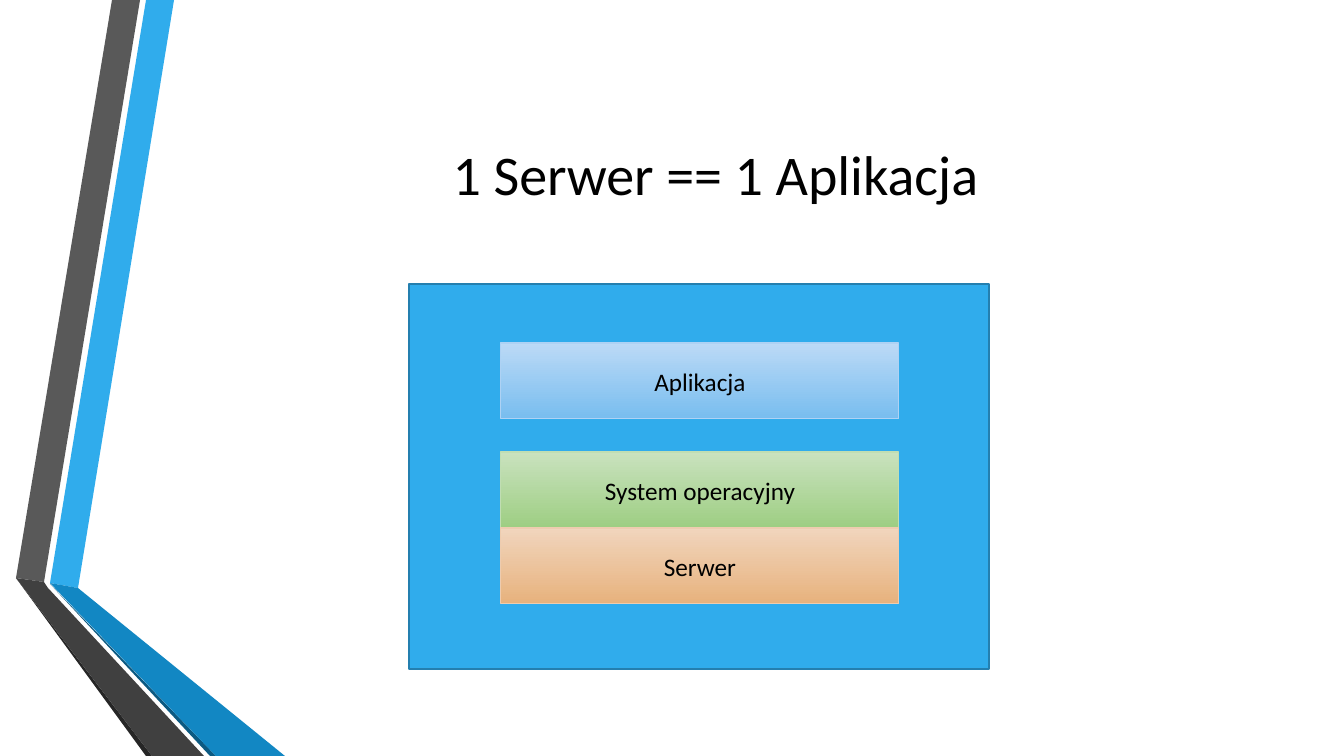
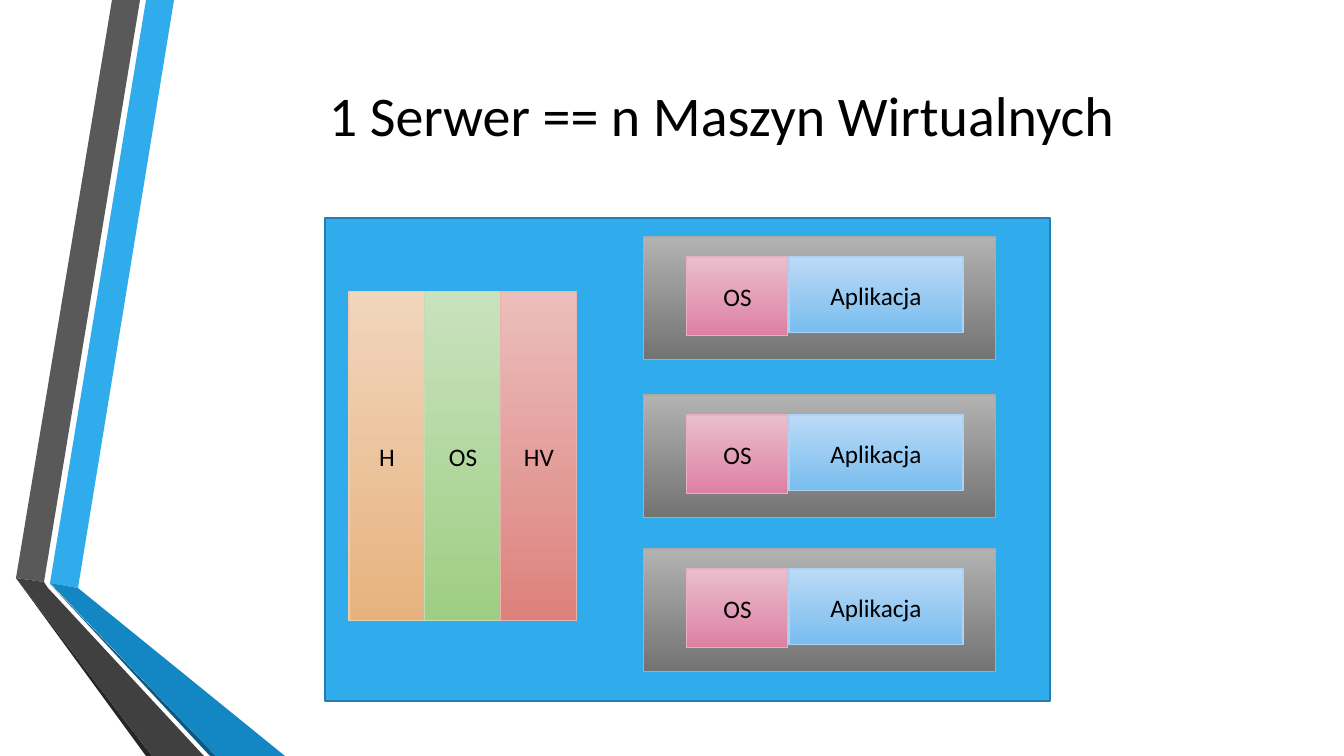
"""Builds two slides on servers, applications and virtual machines."""
from dataclasses import dataclass

from pptx import Presentation
from pptx.dml.color import RGBColor
from pptx.enum.shapes import MSO_SHAPE
from pptx.enum.text import MSO_ANCHOR, PP_ALIGN
from pptx.util import Pt

EMU_PER_PIXEL = 914400 / 100.8
SLIDE_SIZE = (1344, 756)
TITLE_SIZE = (1105, 194)
TITLE_ONLY = 5
FIRST_RIBBON_ID = 100


@dataclass(frozen=True)
class Gradient:
    top: str
    bottom: str
    line: str


@dataclass(frozen=True)
class Theme:
    font: str = "Calibri"
    title_size: int = 40
    label_size: int = 18
    panel_line_width: float = 1.25
    box_line_width: float = 0.75
    text: str = "000000"
    panel: str = "30ACEC"
    panel_line: str = "247FAF"
    ribbon_gray: str = "595959"
    ribbon_charcoal: str = "404040"
    ribbon_black: str = "262626"
    ribbon_blue: str = "1287C3"
    ribbon_navy: str = "0C5A82"
    application: Gradient = Gradient("BCDAF6", "78BDEF", "AED2F4")
    system: Gradient = Gradient("C9E2BE", "9ECE83", "C0DEB3")
    hardware: Gradient = Gradient("F1D5BD", "E7B27D", "EECCAF")
    hypervisor: Gradient = Gradient("EBBEBC", "DD817C", "E8B2AF")
    guest_system: Gradient = Gradient("EBBECD", "DD80A2", "E8B1C3")
    machine: Gradient = Gradient("B2B2B2", "737373", "ABABAB")


THEME = Theme()
RIBBONS = (
    (THEME.panel, [(50, 583), (78, 588), (174, 0), (146, 0)]),
    (THEME.ribbon_gray, [(140, 0), (112, 0), (16, 578), (44, 582)]),
    (THEME.ribbon_black, [(16, 578), (146, 756), (152, 756)]),
    (THEME.ribbon_navy, [(50, 584), (210, 756), (216, 756)]),
    (THEME.ribbon_blue, [(50, 583), (216, 756), (285, 756), (78, 588)]),
    (THEME.ribbon_charcoal,
     [(204, 756), (48, 588), (44, 582), (16, 578), (152, 756)]),
)


def emu(pixels):
    """Turn pixels into EMU."""
    return round(pixels * EMU_PER_PIXEL)


def rgb(value):
    """Turn a hex string into a colour."""
    return RGBColor.from_string(value)


def write_text(shape, text, size=THEME.label_size, color=THEME.text,
               font=THEME.font, align=PP_ALIGN.CENTER, anchor=MSO_ANCHOR.MIDDLE):
    """Write one formatted paragraph into a shape."""
    frame = shape.text_frame
    frame.word_wrap = True
    frame.vertical_anchor = anchor
    paragraph = frame.paragraphs[0]
    paragraph.alignment = align
    run = paragraph.add_run()
    run.text = text
    run.font.name = font
    run.font.size = Pt(size)
    run.font.color.rgb = rgb(color)


def add_rectangle(slide, left, top, width, height, line, line_width):
    """Add an outlined rectangle without shadow."""
    shape = slide.shapes.add_shape(
        MSO_SHAPE.RECTANGLE, *map(emu, (left, top, width, height)))
    shape.shadow.inherit = False
    shape.line.color.rgb = rgb(line)
    shape.line.width = Pt(line_width)
    return shape


def add_panel(slide, left, top, width, height):
    """Add the blue panel that stands for a server."""
    panel = add_rectangle(slide, left, top, width, height,
                          THEME.panel_line, THEME.panel_line_width)
    panel.fill.solid()
    panel.fill.fore_color.rgb = rgb(THEME.panel)


def add_box(slide, left, top, width, height, gradient, label=None):
    """Add a gradient box with an optional label."""
    box = add_rectangle(slide, left, top, width, height,
                        gradient.line, THEME.box_line_width)
    box.fill.gradient()
    box.fill.gradient_angle = 270
    for stop, color in zip(box.fill.gradient_stops,
                           (gradient.top, gradient.bottom)):
        stop.color.rgb = rgb(color)
    if label:
        write_text(box, label)


def add_machine(slide, left, top):
    """Add a virtual machine with its system and application."""
    add_box(slide, left, top, 352, 123, THEME.machine)
    add_box(slide, left + 145, top + 20, 174, 76, THEME.application, "Aplikacja")
    add_box(slide, left + 43, top + 20, 101, 79, THEME.guest_system, "OS")


def add_ribbons(slide):
    """Draw the ribbons once and hand them to the shared layout."""
    layout_tree = slide.slide_layout.shapes.element
    for number, (color, points) in enumerate(RIBBONS, FIRST_RIBBON_ID):
        builder = slide.shapes.build_freeform(*points[0], scale=EMU_PER_PIXEL)
        builder.add_line_segments(points[1:], close=True)
        ribbon = builder.convert_to_shape()
        ribbon.shadow.inherit = False
        ribbon.fill.solid()
        ribbon.fill.fore_color.rgb = rgb(color)
        ribbon.line.fill.background()
        ribbon.element.nvSpPr.cNvPr.set("id", str(number))
        layout_tree.append(ribbon.element)


def add_titled_slide(presentation, title, left, top):
    """Add a slide with its title placed and formatted."""
    slide = presentation.slides.add_slide(presentation.slide_layouts[TITLE_ONLY])
    placeholder = slide.shapes.title
    placeholder.left, placeholder.top = emu(left), emu(top)
    placeholder.width, placeholder.height = map(emu, TITLE_SIZE)
    write_text(placeholder, title, size=THEME.title_size)
    return slide


def build_single_server(presentation):
    """Build the slide with one application on one server."""
    slide = add_titled_slide(presentation, "1 Serwer == 1 Aplikacja", 163, 76)
    add_ribbons(slide)
    add_panel(slide, 409, 284, 580, 385)
    for top, gradient, label in (
            (343, THEME.application, "Aplikacja"),
            (452, THEME.system, "System operacyjny"),
            (528, THEME.hardware, "Serwer")):
        add_box(slide, 501, top, 398, 76, gradient, label)


def build_virtual_machines(presentation):
    """Build the slide with many virtual machines on one server."""
    slide = add_titled_slide(
        presentation, "1 Serwer == n Maszyn Wirtualnych", 169, 17)
    add_panel(slide, 325, 218, 725, 483)
    layers = ((THEME.hardware, "H"), (THEME.system, "OS"),
              (THEME.hypervisor, "HV"))
    for column, (gradient, label) in enumerate(layers):
        add_box(slide, 349 + 76 * column, 292, 76, 329, gradient, label)
    for top in (237, 395, 549):
        add_machine(slide, 644, top)


def main():
    """Build and save the presentation."""
    presentation = Presentation()
    presentation.slide_width, presentation.slide_height = map(emu, SLIDE_SIZE)
    build_single_server(presentation)
    build_virtual_machines(presentation)
    presentation.save("out.pptx")


main()
